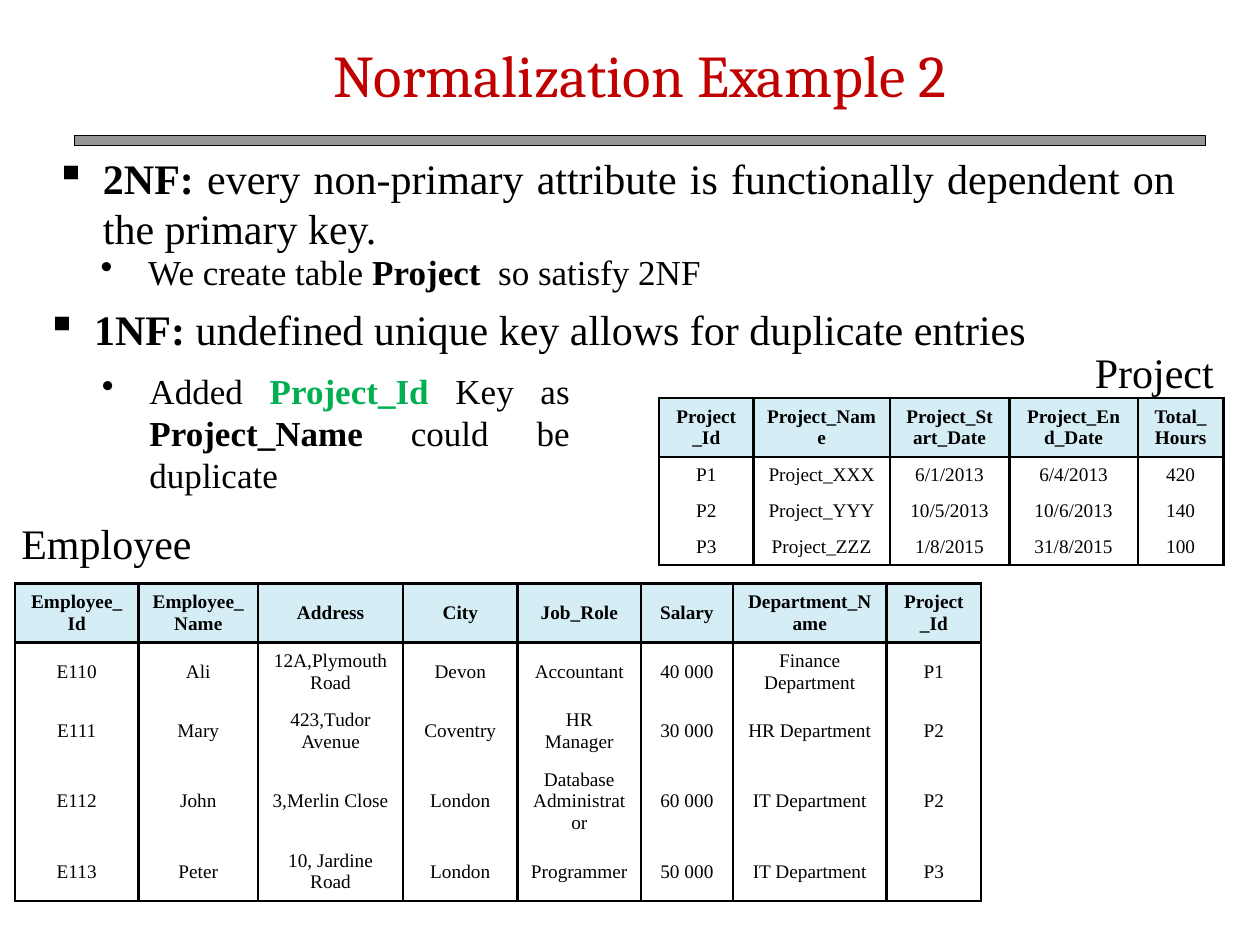
"""Build the Normalization Example 2 slide."""
import pptx
import pptx.dml.color
import pptx.enum.shapes
import pptx.enum.text
import pptx.oxml
import pptx.oxml.ns
import pptx.util

Pt = pptx.util.Pt
ALIGN = pptx.enum.text.PP_ALIGN
ANCHOR = pptx.enum.text.MSO_ANCHOR
FIT = pptx.enum.text.MSO_AUTO_SIZE
HUES = {"ink": "000000", "title": "C00000", "rule": "969696",
        "head": "D5EDF5", "body": "FFFFFF", "key": "00B050"}


class Page:
    """Hold the slide and its style, and draw each kind of element."""

    face = "Times New Roman"
    border = 1.5
    indent = 27.2

    def __init__(self, deck):
        """Add a title-only slide to the deck."""
        self.slide = deck.slides.add_slide(deck.slide_layouts[5])
        self.shapes = self.slide.shapes

    def hue(self, name):
        """Return a named colour."""
        return pptx.dml.color.RGBColor.from_string(HUES[name])

    def style(self, font, size, hue="ink", face=None):
        """Set the face, size and colour of a font."""
        font.name = face or self.face
        font.size = Pt(size)
        font.color.rgb = self.hue(hue)

    def place(self, shape, box):
        """Move a shape to a box given in points."""
        shape.left, shape.top, shape.width, shape.height = map(Pt, box)

    def title(self, text, box):
        """Fill and format the title placeholder."""
        shape = self.shapes.title
        self.place(shape, box)
        frame = shape.text_frame
        frame.text = text
        frame.auto_size = FIT.NONE
        frame.vertical_anchor = ANCHOR.MIDDLE
        para = frame.paragraphs[0]
        para.alignment = ALIGN.CENTER
        self.style(para.font, 33.8, "title", "Cambria")

    def bar(self, box):
        """Draw the outlined bar under the title."""
        kind = pptx.enum.shapes.MSO_SHAPE.RECTANGLE
        shape = self.shapes.add_shape(kind, *map(Pt, box))
        shape.shadow.inherit = False
        shape.fill.solid()
        shape.fill.fore_color.rgb = self.hue("rule")
        shape.line.color.rgb = self.hue("ink")
        shape.line.width = Pt(0.75)

    def text(self, runs, box, size=24, mark=None, inset=3.6):
        """Write (text, bold, colour) runs, with a bullet if a mark is given."""
        frame = self.shapes.add_textbox(*map(Pt, box)).text_frame
        frame.word_wrap = True
        frame.auto_size = FIT.SHAPE_TO_FIT_TEXT
        frame.margin_left = frame.margin_right = Pt(inset)
        para = frame.paragraphs[0]
        if mark:
            self.bullet(para, mark)
        self.style(para.font, size)
        for words, bold, hue in runs:
            run = para.add_run()
            run.text = words
            run.font.bold = bold
            if hue != "ink":
                run.font.color.rgb = self.hue(hue)

    def bullet(self, para, mark):
        """Justify a paragraph and hang it from a bullet."""
        para.alignment = ALIGN.JUSTIFY
        props = para._p.get_or_add_pPr()
        props.set("marL", str(Pt(self.indent)))
        props.set("indent", str(-Pt(self.indent)))
        char = pptx.oxml.parse_xml(
            f'<a:buChar {pptx.oxml.ns.nsdecls("a")} char="{mark}"/>')
        props.append(char)

    def edge(self, cell, side, shown):
        """Draw or hide one border of a cell."""
        fill = (f'<a:solidFill><a:srgbClr val="{HUES["ink"]}"/></a:solidFill>'
                if shown else "<a:noFill/>")
        line = pptx.oxml.parse_xml(
            f'<a:ln{side} {pptx.oxml.ns.nsdecls("a")} '
            f'w="{Pt(self.border)}">{fill}</a:ln{side}>')
        cell._tc.get_or_add_tcPr().append(line)

    def cell(self, cell, text, head, sides):
        """Fill and format one table cell."""
        for side in "LRTB":
            self.edge(cell, side, side in sides)
        cell.fill.solid()
        cell.fill.fore_color.rgb = self.hue("head" if head else "body")
        cell.vertical_anchor = ANCHOR.MIDDLE
        cell.text = text
        para = cell.text_frame.paragraphs[0]
        para.alignment = ALIGN.CENTER
        self.style(para.font, 11)
        para.font.bold = head

    def table(self, rows, left, top, widths, heights):
        """Draw a table with a framed header and ruled columns."""
        box = (left, top, sum(widths), sum(heights))
        grid = self.shapes.add_table(
            len(rows), len(widths), *map(Pt, box)).table
        for col, width in zip(grid.columns, widths):
            col.width = Pt(width)
        for r, (row, height) in enumerate(zip(rows, heights)):
            grid.rows[r].height = Pt(height)
            sides = "LR" + "T" * (r < 2) + "B" * (r in (0, len(rows) - 1))
            for c, text in enumerate(row):
                self.cell(grid.cell(r, c), text, r == 0, sides)


STAFF = [
    ("Employee_Id", "Employee_Name", "Address", "City", "Job_Role",
     "Salary", "Department_Name", "Project_Id"),
    ("E110", "Ali", "12A,Plymouth Road", "Devon", "Accountant",
     "40 000", "Finance Department", "P1"),
    ("E111", "Mary", "423,Tudor Avenue", "Coventry", "HR Manager",
     "30 000", "HR Department", "P2"),
    ("E112", "John", "3,Merlin Close", "London", "Database Administrator",
     "60 000", "IT Department", "P2"),
    ("E113", "Peter", "10, Jardine Road", "London", "Programmer",
     "50 000", "IT Department", "P3"),
]
WORKS = [
    ("Project_Id", "Project_Name", "Project_Start_Date",
     "Project_End_Date", "Total_Hours"),
    ("P1", "Project_XXX", "6/1/2013", "6/4/2013", "420"),
    ("P2", "Project_YYY", "10/5/2013", "10/6/2013", "140"),
    ("P3", "Project_ZZZ", "1/8/2015", "31/8/2015", "100"),
]


def main():
    """Build and save the slide."""
    deck = pptx.Presentation()
    deck.slide_width, deck.slide_height = Pt(720), Pt(540)
    page = Page(deck)
    page.title("Normalization Example 2", (59.8, 0, 612, 84))
    page.bar((42.5, 77.3, 646.5, 5.8))
    page.text([("2NF: ", True, "ink"),
               ("every non-primary attribute is functionally dependent on "
                "the primary key.", False, "ink")],
              (28, 83.5, 647.3, 65.5), mark="▪")
    page.text([("We create table ", False, "ink"), ("Project ", True, "ink"),
               (" so satisfy 2NF", False, "ink")],
              (50.4, 139.7, 622.8, 31.7), 20, "•", 7.2)
    page.text([("1NF: ", True, "ink"),
               ("undefined unique key allows for duplicate entries",
                False, "ink")],
              (23, 169.9, 643.7, 36), mark="▪")
    page.text([("Added ", False, "ink"), ("Project_Id ", True, "key"),
               ("Key as ", False, "ink"), ("Project_Name ", True, "ink"),
               ("could be duplicate", False, "ink")],
              (51.1, 207.4, 281.5, 80), 20, "•", 7.2)
    page.text([("Employee", False, "ink")], (8.6, 292.3, 114.5, 36))
    page.table(STAFF, 8.6, 333.4,
               (70.5, 68.4, 82.8, 65.5, 70.5, 52.5, 87.9, 54),
               (33.7, 33.7, 33.7, 46.4, 33.7))
    page.table(WORKS, 376.6, 227.5, (54, 77.8, 68.4, 73.4, 49),
               (33.7, 20.5, 20.5, 20.5))
    page.text([("Project", False, "ink")], (622.1, 194.4, 90.7, 36))
    deck.save("out.pptx")


if __name__ == "__main__":
    main()
